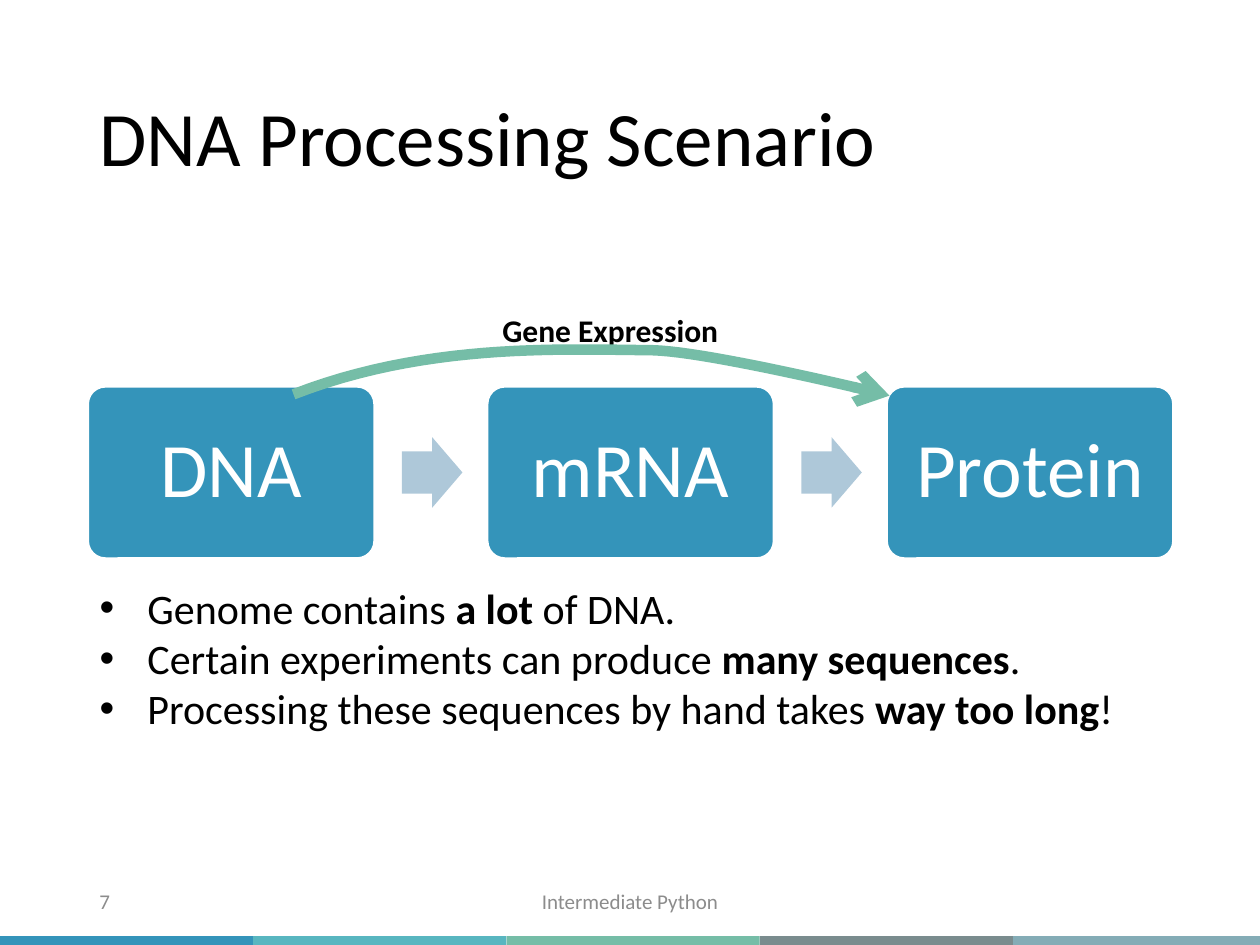
from dataclasses import dataclass

from lxml import etree
from pptx import Presentation
from pptx import util as u
from pptx.dml.color import RGBColor
from pptx.enum import shapes, text
from pptx.oxml import ns

BLUE = RGBColor(0x34, 0x94, 0xBA)
TEAL = RGBColor(0x58, 0xB6, 0xC0)
GREEN = RGBColor(0x75, 0xBD, 0xA7)
SLATE = RGBColor(0x7A, 0x8C, 0x8E)
MIST = RGBColor(0x84, 0xAC, 0xB6)
PALE_BLUE = RGBColor(0xAE, 0xC8, 0xD9)
GRAY = RGBColor(0x8C, 0x8C, 0x8C)
BLACK = RGBColor(0, 0, 0)
WHITE = RGBColor(0xFF, 0xFF, 0xFF)

BAR_WIDTH = 2.01
STAGE_LEFT, STAGE_PITCH = 0.7, 3.17
ARROW_OFFSET = 2.49
STAGES = ["DNA", "mRNA", "Protein"]
BULLETS = [
    ("Genome contains ", "a lot", " of DNA."),
    ("Certain experiments can produce ", "many sequences", "."),
    ("Processing these sequences by hand takes ", "way too long", "!"),
]
CURVES = [
    ((2.33, 3.13), (3.36, 2.73), (4.39, 2.77), (5.18, 2.78)),
    ((5.18, 2.78), (5.64, 2.79), (7.06, 3.14), (7.06, 3.14)),
]
CURVE_STEPS = 24


@dataclass
class Box:
    left: float
    top: float
    width: float
    height: float

    def lengths(self) -> list:
        return [u.Inches(value) for value in (self.left, self.top, self.width, self.height)]


@dataclass
class Label:
    words: str
    box: Box
    size: int
    color: RGBColor
    align: text.PP_ALIGN
    bold: bool = False
    anchor: text.MSO_ANCHOR = text.MSO_ANCHOR.MIDDLE
    wrap: bool = True


LABELS = [
    Label("Intermediate Python", Box(3.31, 6.95, 3.38, 0.4), 12, GRAY, text.PP_ALIGN.CENTER),
    Label("7", Box(0.69, 6.95, 2.25, 0.4), 12, GRAY, text.PP_ALIGN.LEFT),
    Label("Gene Expression", Box(3.88, 2.42, 1.93, 0.4), 18, BLACK, text.PP_ALIGN.CENTER,
          bold=True, anchor=text.MSO_ANCHOR.TOP, wrap=False),
]


def apply(target, values: dict) -> None:
    for name, value in values.items():
        setattr(target, name, value)


def place(shape, box: Box) -> None:
    apply(shape, dict(zip(("left", "top", "width", "height"), box.lengths())))


def add_run(paragraph, words: str, size: int, color: RGBColor, bold: bool = False) -> None:
    run = paragraph.add_run()
    run.text = words
    apply(run.font, {"name": "Calibri", "size": u.Pt(size), "bold": bold})
    run.font.color.rgb = color


def add_filled(slide, kind, box: Box, color: RGBColor, adjustments=()):
    shape = slide.shapes.add_shape(kind, *box.lengths())
    shape.shadow.inherit = False
    shape.fill.solid()
    shape.fill.fore_color.rgb = color
    shape.line.fill.background()
    for index, value in enumerate(adjustments):
        shape.adjustments[index] = value
    return shape


def add_title(slide) -> None:
    title = slide.shapes.title
    place(title, Box(0.69, 0.4, 8.62, 1.45))
    apply(title.text_frame, {"vertical_anchor": text.MSO_ANCHOR.MIDDLE,
                             "auto_size": text.MSO_AUTO_SIZE.NONE})
    paragraph = title.text_frame.paragraphs[0]
    apply(paragraph, {"alignment": text.PP_ALIGN.LEFT, "line_spacing": 0.9})
    add_run(paragraph, "DNA Processing Scenario", 44, BLACK)


def add_bullets(slide) -> None:
    body = slide.placeholders[1]
    place(body, Box(0.69, 4.57, 8.75, 1.31))
    frame = body.text_frame
    frame.auto_size = text.MSO_AUTO_SIZE.NONE
    for index, parts in enumerate(BULLETS):
        paragraph = frame.add_paragraph() if index else frame.paragraphs[0]
        apply(paragraph, {"space_before": u.Pt(0), "space_after": u.Pt(0), "line_spacing": 1.0})
        properties = paragraph._p.get_or_add_pPr()
        properties.set("marL", str(u.Inches(0.38)))
        properties.set("indent", str(u.Inches(-0.38)))
        for position, words in enumerate(parts):
            add_run(paragraph, words, 24, BLACK, bold=position == 1)


def add_stage(slide, words: str, left: float) -> None:
    box = Box(left, 3.07, 2.27, 1.36)
    shape = add_filled(slide, shapes.MSO_SHAPE.ROUNDED_RECTANGLE, box, BLUE, [0.1])
    shape.line.color.rgb = WHITE
    shape.line.width = u.Pt(1)
    frame = shape.text_frame
    apply(frame, {f"margin_{side}": u.Inches(0.18) for side in ("left", "top", "right", "bottom")})
    apply(frame, {"word_wrap": True, "vertical_anchor": text.MSO_ANCHOR.MIDDLE})
    paragraph = frame.paragraphs[0]
    apply(paragraph, {"alignment": text.PP_ALIGN.CENTER, "line_spacing": 0.9})
    add_run(paragraph, words, 44, WHITE)


def add_label(slide, label: Label) -> None:
    frame = slide.shapes.add_textbox(*label.box.lengths()).text_frame
    apply(frame, {"word_wrap": label.wrap, "vertical_anchor": label.anchor})
    paragraph = frame.paragraphs[0]
    paragraph.alignment = label.align
    add_run(paragraph, label.words, label.size, label.color, label.bold)


def curve_point(curve, t: float) -> tuple:
    weights = ((1 - t) ** 3, 3 * t * (1 - t) ** 2, 3 * t ** 2 * (1 - t), t ** 3)
    return tuple(u.Inches(sum(weight * point[axis] for weight, point in zip(weights, curve)))
                 for axis in (0, 1))


def add_expression_arrow(slide) -> None:
    points = [curve_point(curve, step / CURVE_STEPS)
              for curve in CURVES for step in range(1, CURVE_STEPS + 1)]
    builder = slide.shapes.build_freeform(*curve_point(CURVES[0], 0))
    builder.add_line_segments(points, close=False)
    arrow = builder.convert_to_shape()
    arrow.shadow.inherit = False
    arrow.fill.background()
    arrow.line.color.rgb = GREEN
    arrow.line.width = u.Pt(6)
    line = arrow.line._get_or_add_ln()
    etree.SubElement(line, ns.qn("a:round"))
    etree.SubElement(line, ns.qn("a:tailEnd"), type="arrow")


def main() -> None:
    presentation = Presentation()
    apply(presentation, {"slide_width": u.Inches(10), "slide_height": u.Inches(7.5)})
    slide = presentation.slides.add_slide(presentation.slide_layouts[1])
    for index, color in enumerate([BLUE, TEAL, GREEN, SLATE, MIST]):
        bar = Box(index * BAR_WIDTH, 7.43, BAR_WIDTH, 0.1)
        add_filled(slide, shapes.MSO_SHAPE.RECTANGLE, bar, color)
    add_title(slide)
    for index, words in enumerate(STAGES):
        left = STAGE_LEFT + index * STAGE_PITCH
        add_stage(slide, words, left)
        if index < len(STAGES) - 1:
            add_filled(slide, shapes.MSO_SHAPE.RIGHT_ARROW,
                       Box(left + ARROW_OFFSET, 3.47, 0.48, 0.56), PALE_BLUE, [0.6, 0.5])
    for label in LABELS:
        add_label(slide, label)
    add_expression_arrow(slide)
    add_bullets(slide)
    presentation.save("out.pptx")


if __name__ == "__main__":
    main()
